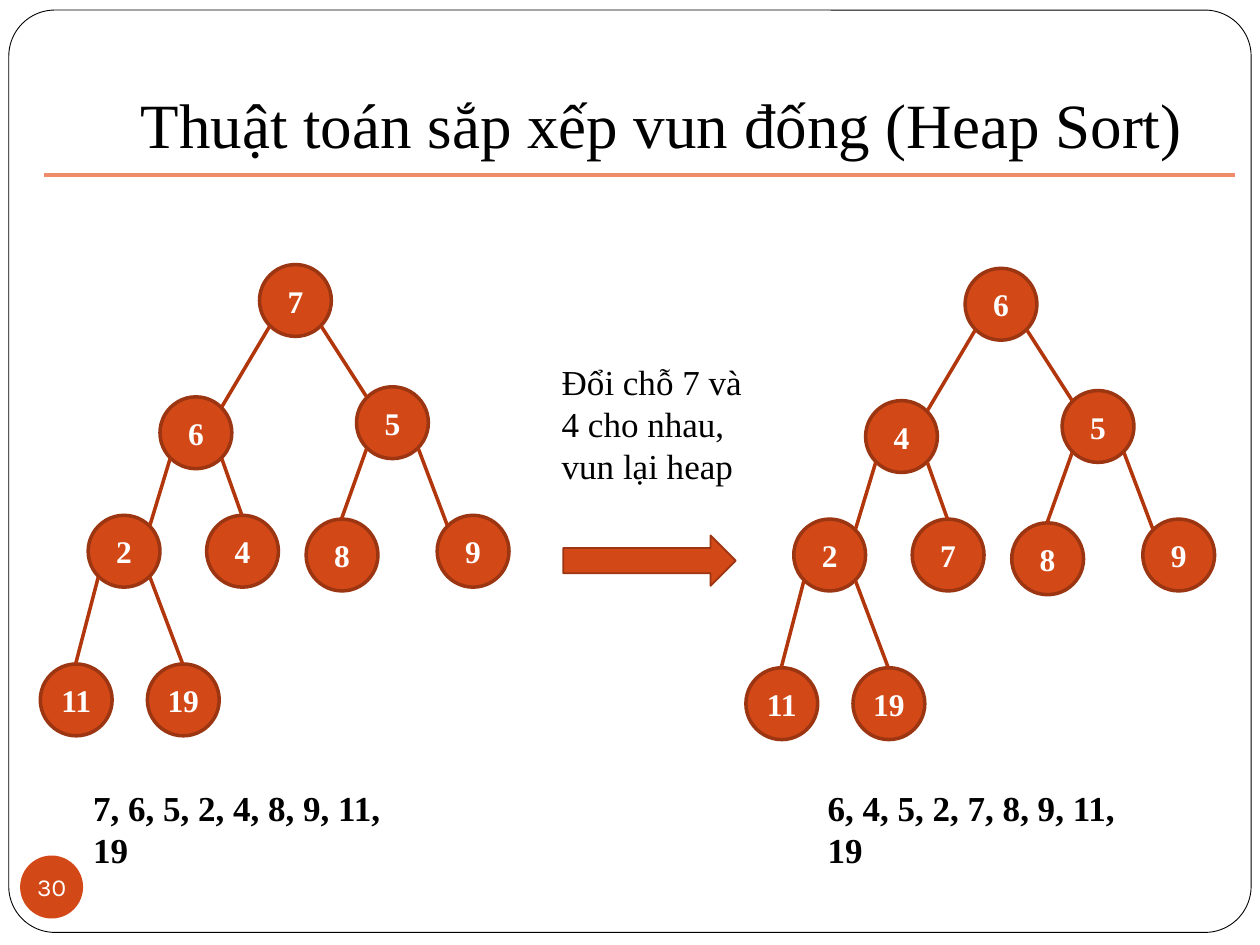
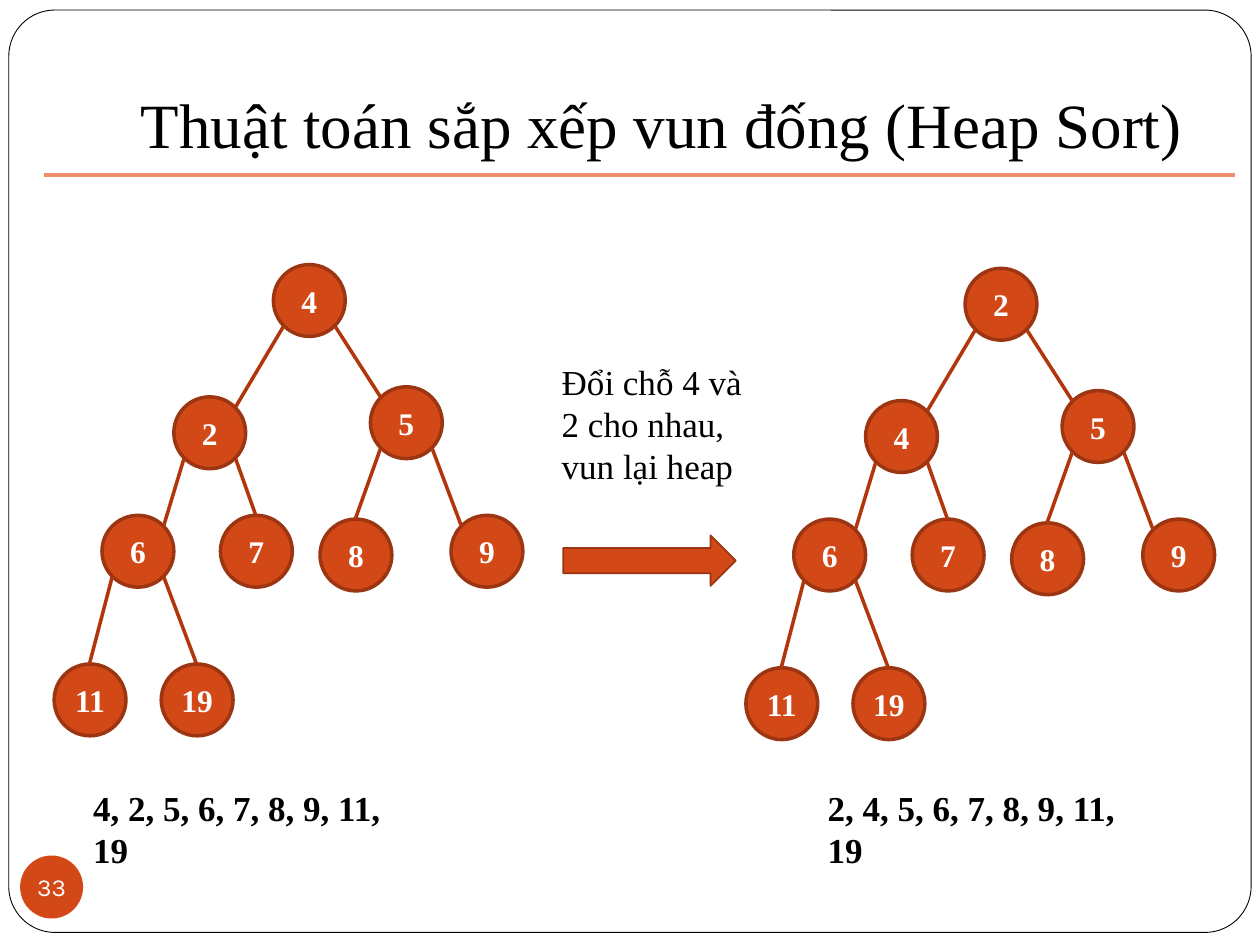
from dataclasses import dataclass

from lxml import etree
from pptx import Presentation
from pptx.dml.color import RGBColor
from pptx.enum.shapes import MSO_CONNECTOR, MSO_SHAPE
from pptx.enum.text import MSO_ANCHOR, MSO_AUTO_SIZE, PP_ALIGN
from pptx.oxml.ns import qn
from pptx.util import Emu, Pt

CENTER, LEFT = PP_ALIGN.CENTER, PP_ALIGN.LEFT
TOP, MIDDLE, BOTTOM = MSO_ANCHOR.TOP, MSO_ANCHOR.MIDDLE, MSO_ANCHOR.BOTTOM
GROW = MSO_AUTO_SIZE.SHAPE_TO_FIT_TEXT
STRAIGHT = MSO_CONNECTOR.STRAIGHT
ROUNDED, OVAL = MSO_SHAPE.ROUNDED_RECTANGLE, MSO_SHAPE.OVAL
ARROW, NODE = MSO_SHAPE.RIGHT_ARROW, MSO_SHAPE.FLOWCHART_CONNECTOR

EMU_PER_PX = 9144
BLANK_LAYOUT = 6


@dataclass(frozen=True)
class Theme:
    font: str = "Times New Roman"
    number_font: str = "Karla"
    black: str = "000000"
    white: str = "FFFFFF"
    accent: str = "D34817"
    outline: str = "9C3511"
    edge: str = "B1360B"
    rule: str = "EF8C6A"
    title_size: int = 36
    body_size: int = 20
    node_size: int = 18
    number_size: int = 14


THEME = Theme()
TITLE = "Thuật toán sắp xếp vun đống (Heap Sort)"

NODE_SIZE = 57
NEAR, FAR = 8, 49
NODE_OFFSETS = [
    (0, 0),
    (-79, 105), (77, 97),
    (-136, 199), (-42, 199), (37, 202), (141, 199),
    (-174, 317), (-89, 317),
]
NODES_JOINED_AT_TOP = {4, 5, 7, 8}

STEPS = [
    {
        "number": 30,
        "note": "Đổi chỗ 7 và 4 cho nhau, vun lại heap",
        "before": [7, 6, 5, 2, 4, 8, 9, 11, 19],
        "after": [6, 4, 5, 2, 7, 8, 9, 11, 19],
        "before_root": (206, 210),
    },
    {
        "number": 33,
        "note": "Đổi chỗ 4 và 2 cho nhau, vun lại heap",
        "before": [4, 2, 5, 6, 7, 8, 9, 11, 19],
        "after": [2, 4, 5, 6, 7, 8, 9, 11, 19],
        "before_root": (217, 210),
    },
]
AFTER_ROOT = (766, 213)


def px(*lengths):
    return [Emu(length * EMU_PER_PX) for length in lengths]


def color(value):
    return RGBColor.from_string(value)


def write_text(shape, text, *, size, fill=THEME.black, font=THEME.font, bold=False,
               align=LEFT, anchor=TOP, insets=(10, 5, 10, 5), wrap=True):
    frame = shape.text_frame
    frame.word_wrap = wrap
    frame.vertical_anchor = anchor
    (frame.margin_left, frame.margin_top,
     frame.margin_right, frame.margin_bottom) = px(*insets)
    paragraph = frame.paragraphs[0]
    paragraph.alignment = align
    run = paragraph.add_run()
    run.text = text
    run.font.name = font
    run.font.size = Pt(size)
    run.font.bold = bold
    run.font.color.rgb = color(fill)


def add_text(slide, box, text, **text_format):
    shape = slide.shapes.add_textbox(*px(*box))
    write_text(shape, text, **text_format)
    return shape


def add_growing_text(slide, box, text, **text_format):
    shape = add_text(slide, box, text, size=THEME.body_size, **text_format)
    shape.text_frame.auto_size = GROW


def add_figure(slide, kind, box, fill, line=None, width=1):
    shape = slide.shapes.add_shape(kind, *px(*box))
    shape.shadow.inherit = False
    shape.fill.solid()
    shape.fill.fore_color.rgb = color(fill)
    if line:
        shape.line.color.rgb = color(line)
        shape.line.width = Pt(width)
    else:
        shape.line.fill.background()
    return shape


def add_line(slide, start, end, line):
    connector = slide.shapes.add_connector(STRAIGHT, *px(*start, *end))
    connector.line.color.rgb = color(line)
    connector.line.width = Pt(2)
    etree.SubElement(connector._element.spPr, qn("a:effectLst"))


def add_disc(slide, kind, box, text, line=None, **text_format):
    shape = add_figure(slide, kind, box, THEME.accent, line, 2)
    write_text(shape, text, fill=THEME.white, align=CENTER, anchor=MIDDLE,
               insets=(0, 0, 0, 0), **text_format)


def add_edge(slide, parent, child, child_index):
    is_left = child_index % 2 == 1
    start = (parent[0] + (NEAR if is_left else FAR), parent[1] + FAR)
    if child_index in NODES_JOINED_AT_TOP:
        end = (child[0] + NODE_SIZE // 2, child[1])
    else:
        end = (child[0] + (FAR if is_left else NEAR), child[1] + NEAR)
    add_line(slide, start, end, THEME.edge)


def add_heap(slide, root, values):
    corners = [(root[0] + x, root[1] + y) for x, y in NODE_OFFSETS]
    for corner, value in zip(corners, values):
        add_disc(slide, NODE, (*corner, NODE_SIZE, NODE_SIZE), str(value),
                 line=THEME.outline, size=THEME.node_size, bold=True)
    for index in range(1, len(values)):
        add_edge(slide, corners[(index - 1) // 2], corners[index], index)


def add_sequence(slide, left, values):
    add_growing_text(slide, (left, 619, 278, 44), ", ".join(map(str, values)), bold=True)


def add_base_slide(presentation, number):
    slide = presentation.slides.add_slide(presentation.slide_layouts[BLANK_LAYOUT])
    frame = add_figure(slide, ROUNDED, (7, 8, 986, 732), THEME.white, THEME.black, 0.5)
    frame.adjustments[0] = 0.05
    add_text(slide, (100, 13, 850, 125), TITLE, size=THEME.title_size,
             align=CENTER, anchor=BOTTOM, insets=(10, 5, 10, 10))
    add_line(slide, (35, 139), (980, 139), THEME.rule)
    add_disc(slide, OVAL, (16, 679, 50, 50), str(number), size=THEME.number_size,
             font=THEME.number_font, wrap=False)
    return slide


def add_step(presentation, step):
    slide = add_base_slide(presentation, step["number"])
    add_figure(slide, ARROW, (447, 425, 137, 40), THEME.accent, THEME.outline)
    add_growing_text(slide, (436, 281, 176, 111), step["note"])
    add_heap(slide, AFTER_ROOT, step["after"])
    add_heap(slide, step["before_root"], step["before"])
    add_sequence(slide, 64, step["before"])
    add_sequence(slide, 647, step["after"])


def main():
    presentation = Presentation()
    presentation.slide_width, presentation.slide_height = px(1000, 750)
    for step in STEPS:
        add_step(presentation, step)
    presentation.save("out.pptx")


if __name__ == "__main__":
    main()
